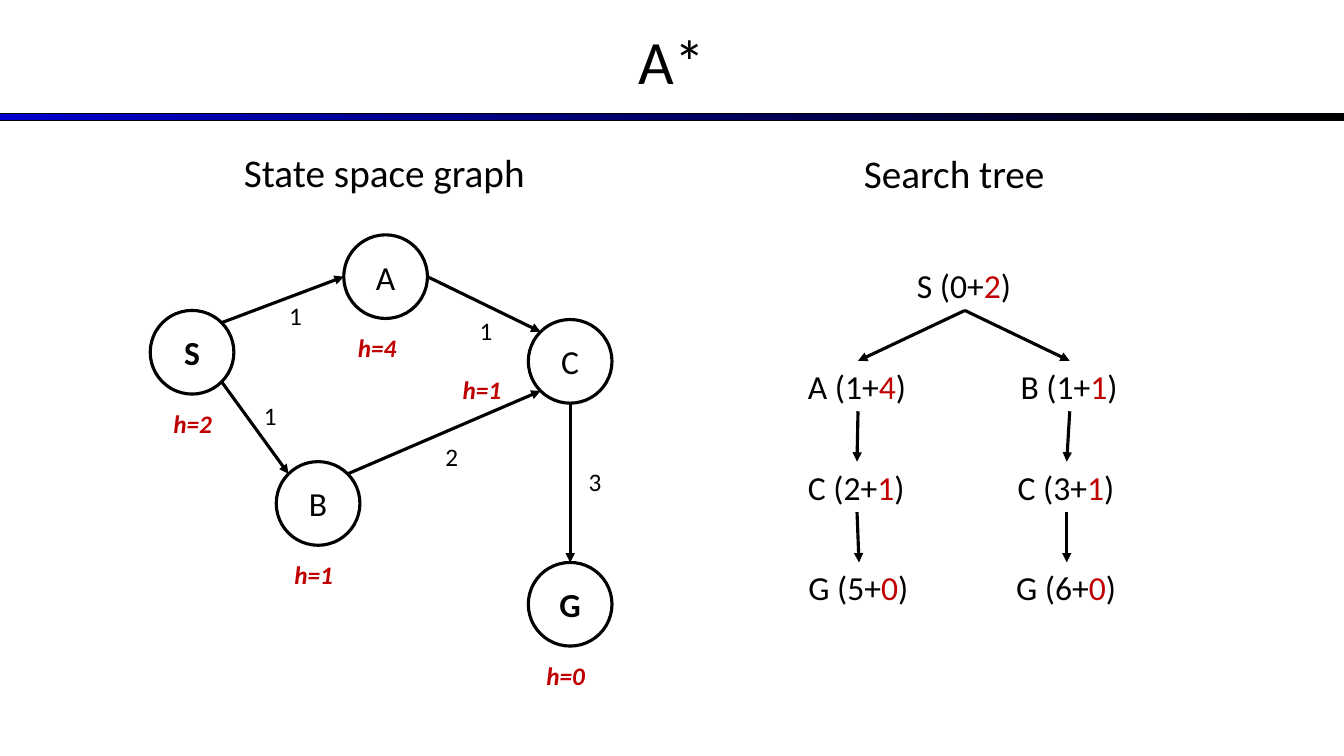
from math import cos, radians, sin

from lxml.etree import SubElement
from pptx import Presentation
from pptx.dml.color import RGBColor
from pptx.enum.shapes import MSO_CONNECTOR as Link, MSO_SHAPE as Kind
from pptx.enum.text import MSO_ANCHOR as Anchor, MSO_AUTO_SIZE as Fit, PP_ALIGN as Align
from pptx.oxml.ns import qn
from pptx.util import Inches, Pt

BLACK, WHITE, RED, BLUE = "000000", "FFFFFF", "C00000", "0000CC"
SIZE = 0.83  # node diameter
TOP = 2.58  # first tree row
STEP = 1.0  # distance between tree rows
HIGH = 0.5  # height of a tree label

# name: left, top, bold
NODES = {
    "S": (1.49, 3.08, True),
    "A": (3.41, 2.33, False),
    "B": (2.74, 4.58, False),
    "C": (5.24, 3.17, False),
    "G": (5.24, 5.58, True),
}
# start, angle on its rim, end, angle on its rim (clockwise from the right)
EDGES = [
    ("S", -45, "A", 180),
    ("S", 45, "B", 225),
    ("B", -45, "C", 135),
    ("A", 0, "C", 225),
    ("C", 90, "G", -90),
]
COSTS = [("1", 2.77, 2.93), ("1", 2.52, 3.92), ("1", 4.66, 3.08),
         ("2", 4.32, 4.33), ("3", 5.74, 4.58)]
GUESSES = [("h=2", 1.62, 4), ("h=1", 2.82, 5.5), ("h=4", 3.45, 3.25),
           ("h=1", 4.49, 3.66), ("h=0", 5.32, 6.5)]
# label, heuristic, centre, width
ROOT = ("S (0+", "2", 9.57, 1.15)
CHAINS = [
    [ROOT, ("A (1+", "4", 8.51, 1.19), ("C (2+", "1", 8.5, 1.17), ("G (5+", "0", 8.52, 1.2)],
    [ROOT, ("B (1+", "1", 10.61, 1.17), ("C (3+", "1", 10.58, 1.17), ("G (6+", "0", 10.58, 1.2)],
]


def color(code):
    return RGBColor.from_string(code)


def rim(name, angle):
    """Point on the edge of a node."""
    left, top, _ = NODES[name]
    half, turn = SIZE / 2, radians(angle)
    return left + half + half * cos(turn), top + half + half * sin(turn)


class Sheet:
    base = {"name": "Calibri", "bold": False, "italic": False}
    line = Pt(2.25)

    def __init__(self, slide):
        self.slide = slide
        self.shapes = slide.shapes

    def put(self, para, text, size, code=BLACK, **more):
        """Add a formatted run to a paragraph."""
        run = para.add_run()
        run.text = text
        for key, value in {**self.base, "size": Pt(size), **more}.items():
            setattr(run.font, key, value)
        run.font.color.rgb = color(code)

    def center(self, frame, text, size, **more):
        frame.vertical_anchor = Anchor.MIDDLE
        frame.paragraphs[0].alignment = Align.CENTER
        self.put(frame.paragraphs[0], text, size, **more)

    def title(self, text):
        shape = self.shapes.title
        place = {"left": 0, "top": -0.03, "width": 13.33, "height": 1.25}
        for key, value in place.items():
            setattr(shape, key, Inches(value))
        self.center(shape.text_frame, text, 44)

    def shape(self, kind, *box):
        item = self.shapes.add_shape(kind, *map(Inches, box))
        item.shadow.inherit = False
        item.line.color.rgb = color(BLACK)
        return item

    def bar(self, *box):
        """Rule under the title, fading from blue to black."""
        item = self.shape(Kind.RECTANGLE, *box)
        item.line.width = Pt(0.75)
        item.fill.gradient()
        item.fill.gradient_angle = 0
        for stop, place, code in zip(item.fill.gradient_stops, (0, 1), (BLUE, BLACK)):
            stop.position = place
            stop.color.rgb = color(code)

    def node(self, name, left, top, bold):
        item = self.shape(Kind.OVAL, left, top, SIZE, SIZE)
        item.fill.solid()
        item.fill.fore_color.rgb = color(WHITE)
        item.line.width = self.line
        self.center(item.text_frame, name, 24, bold=bold)

    def arrow(self, start, end):
        item = self.shapes.add_connector(Link.STRAIGHT, *map(Inches, (*start, *end)))
        item.line.color.rgb = color(BLACK)
        item.line.width = self.line
        props = item._element.spPr
        SubElement(props.find(qn("a:ln")), qn("a:tailEnd"), type="triangle")
        SubElement(props, qn("a:effectLst"))

    def label(self, box, size, *parts, **more):
        """Text box made of (text, colour) parts."""
        frame = self.shapes.add_textbox(*map(Inches, box)).text_frame
        frame.word_wrap = False
        frame.auto_size = Fit.SHAPE_TO_FIT_TEXT
        for text, code in parts:
            self.put(frame.paragraphs[0], text, size, code, **more)

    def state(self, row, head, guess, mid, width):
        box = (mid - width / 2, TOP + row * STEP, width, HIGH)
        self.label(box, 24, (head, BLACK), (guess, RED), (")", BLACK))


def main():
    deck = Presentation()
    deck.slide_width, deck.slide_height = Inches(13.33), Inches(7.5)
    sheet = Sheet(deck.slides.add_slide(deck.slide_layouts[5]))
    sheet.bar(0, 1.13, 13.33, 0.07)
    sheet.title("A*")
    sheet.label((2.32, 1.42, 3.02, 0.57), 28, ("State space graph", BLACK))
    sheet.label((8.47, 1.43, 2.01, 0.57), 28, ("Search tree", BLACK))

    for name, spot in NODES.items():
        sheet.node(name, *spot)
    for start, out, end, into in EDGES:
        sheet.arrow(rim(start, out), rim(end, into))
    for text, left, top in COSTS:
        sheet.label((left, top, 0.34, 0.4), 18, (text, BLACK))
    for text, left, top in GUESSES:
        sheet.label((left, top, 0.65, 0.4), 18, (text, RED), bold=True, italic=True)

    sheet.state(0, *ROOT)
    for chain in CHAINS:
        for row, (prior, item) in enumerate(zip(chain, chain[1:]), 1):
            sheet.state(row, *item)
            top = TOP + row * STEP
            sheet.arrow((prior[2], top - STEP + HIGH), (item[2], top))
    deck.save("out.pptx")


if __name__ == "__main__":
    main()
